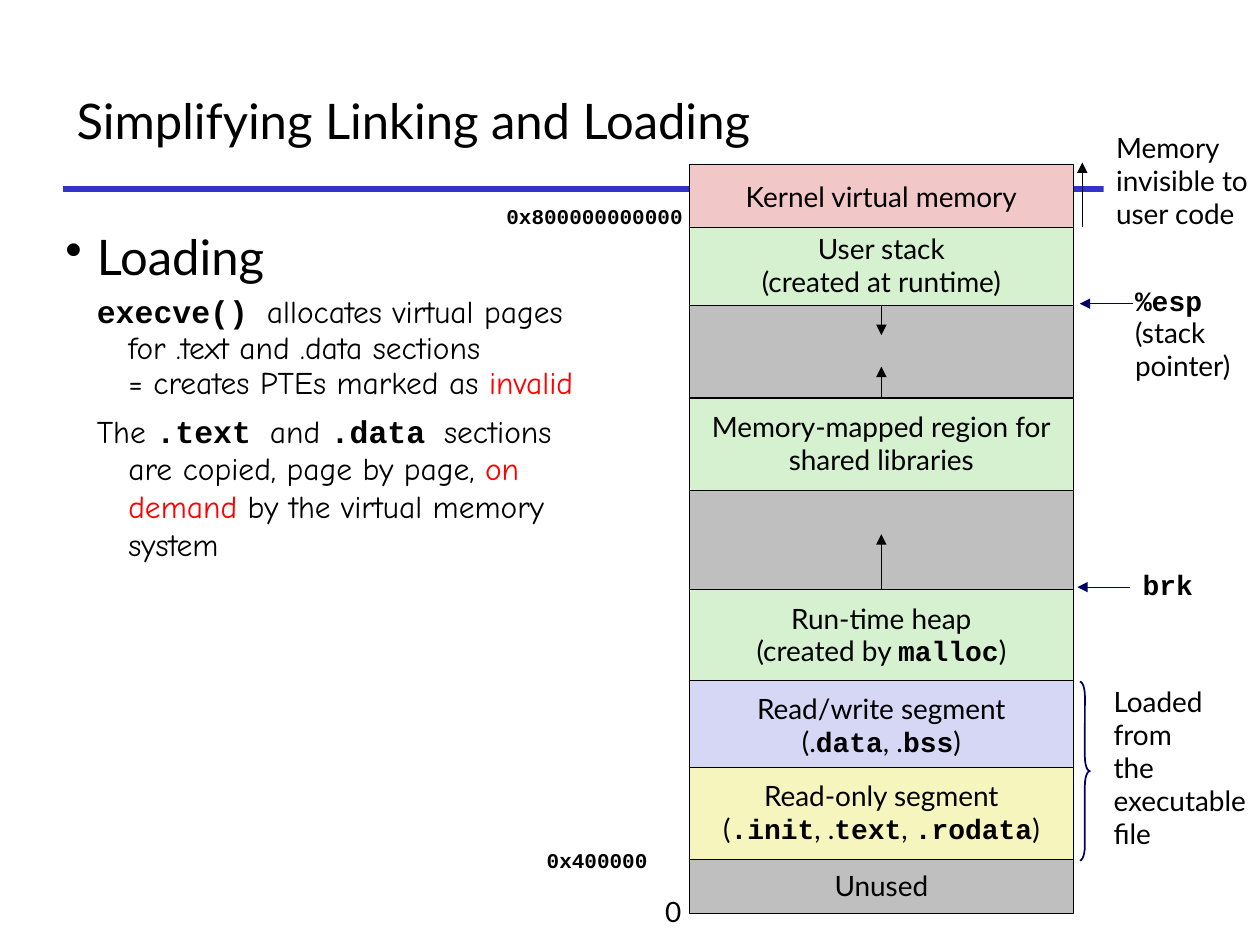
import pptx
import pptx.dml.color
import pptx.enum.shapes
import pptx.enum.text
import pptx.oxml
import pptx.oxml.ns
import pptx.util

COLORS = {
    "ink": "000000", "alert": "FF0000", "rule": "3333CC", "pointer": "000066",
    "paper": "FFFFFF", "kernel": "F1C7C7", "dynamic": "D5F1CF",
    "gap": "BFBFBF", "data": "D6D6F5", "code": "F6F5BD",
}
FONTS = {
    "sans": {"name": "Lato", "bold": False},
    "code": {"name": "Courier New", "bold": True},
    "hand": {"name": "Comic Neue", "bold": False},
    "alert": {"name": "Comic Neue", "bold": False},
}
ANCHOR = pptx.enum.text.MSO_ANCHOR
ALIGN = pptx.enum.text.PP_ALIGN
SHAPE = pptx.enum.shapes.MSO_SHAPE
TOP, LEFT, BOTTOM = 0, 1, 2


def rgb(color):
    return pptx.dml.color.RGBColor.from_string(COLORS[color])


def assign(target, values):
    for attribute, value in values.items():
        setattr(target, attribute, value)


def element(tag, attributes=""):
    return pptx.oxml.parse_xml(f"<a:{tag} {pptx.oxml.ns.nsdecls('a')} {attributes}/>")


class MemorySlide:
    """Draw on a slide divided into 100 columns and 75 rows."""

    def __init__(self, deck):
        self.cell_width = deck.slide_width / 100
        self.cell_height = deck.slide_height / 75
        self.slide = deck.slides.add_slide(deck.slide_layouts[6])

    def place(self, column, row):
        return round(column * self.cell_width), round(row * self.cell_height)

    def area(self, left, top, width, height):
        return self.place(left, top) + self.place(width, height)

    def add_runs(self, paragraph, runs, size, layout):
        assign(paragraph, layout)
        for text, font in runs:
            if text == "\n":
                paragraph.add_line_break()
                continue
            run = paragraph.add_run()
            run.text = text
            assign(run.font, {**FONTS[font], "size": pptx.util.Pt(size)})
            run.font.color.rgb = rgb("alert" if font == "alert" else "ink")

    def fill_text(self, frame, lines, size=16, **layout):
        for index, runs in enumerate(lines):
            paragraph = frame.paragraphs[0] if index == 0 else frame.add_paragraph()
            all_code = all(font == "code" for _, font in runs)
            spacing = 0.94 if all_code else 0.98
            self.add_runs(paragraph, runs, size, {"line_spacing": spacing, **layout})

    def title(self, area, text):
        frame = self.slide.shapes.add_textbox(*self.area(*area)).text_frame
        assign(frame, {"word_wrap": True, "vertical_anchor": ANCHOR.MIDDLE})
        self.fill_text(frame, [[(text, "sans")]], 28, line_spacing=1.0)

    def outline(self, area, heading, points):
        frame = self.slide.shapes.add_textbox(*self.area(*area)).text_frame
        frame.word_wrap = True
        hang = pptx.util.Inches(0.25)
        entries = [(heading, 28, 0, 1.0)] + [(runs, 18, 1, spacing) for runs, spacing in points]
        for runs, size, level, spacing in entries:
            paragraph = frame.add_paragraph() if level else frame.paragraphs[0]
            properties = paragraph._p.get_or_add_pPr()
            properties.set("marL", str(hang * (level + 1)))
            properties.set("indent", str(-hang))
            properties.append(element("buNone") if level else element("buChar", 'char="•"'))
            layout = {"level": level, "line_spacing": spacing}
            if level:
                layout["space_before"] = pptx.util.Pt(5.6)
            self.add_runs(paragraph, runs, size, layout)

    def region(self, top, height, color, lines):
        block = self.slide.shapes.add_shape(SHAPE.RECTANGLE, *self.area(54.7, top, 30.5, height))
        block.shadow.inherit = False
        block.fill.solid()
        block.fill.fore_color.rgb = rgb(color)
        block.line.color.rgb = rgb("ink")
        block.line.width = pptx.util.Pt(0.25)
        assign(block.text_frame, {"word_wrap": False, "vertical_anchor": ANCHOR.MIDDLE})
        self.fill_text(block.text_frame, lines, alignment=ALIGN.CENTER)
        return block

    def label(self, area, lines, font="sans", size=16, color=None):
        note = self.slide.shapes.add_textbox(*self.area(*area))
        if color:
            note.fill.solid()
            note.fill.fore_color.rgb = rgb(color)
        assign(note.text_frame, {
            "word_wrap": False,
            "auto_size": pptx.enum.text.MSO_AUTO_SIZE.SHAPE_TO_FIT_TEXT,
        })
        runs = [[line if isinstance(line, tuple) else (line, font)] for line in lines]
        self.fill_text(note.text_frame, runs, size)
        return note

    def line(self, start, end, color="ink", width=0.25, arrow=True, joined=None):
        link = self.slide.shapes.add_connector(
            pptx.enum.shapes.MSO_CONNECTOR.STRAIGHT, *self.place(*start), *self.place(*end))
        if joined:
            link.begin_connect(*joined)
        link.line.color.rgb = rgb(color)
        link.line.width = pptx.util.Pt(width)
        properties = link.element.spPr
        if arrow:
            properties.find(pptx.oxml.ns.qn("a:ln")).append(element("tailEnd", 'type="triangle"'))
        properties.append(element("effectLst"))

    def brace(self, area):
        bracket = self.slide.shapes.add_shape(SHAPE.RIGHT_BRACE, *self.area(*area))
        bracket.shadow.inherit = False
        bracket.fill.background()
        bracket.line.color.rgb = rgb("pointer")
        bracket.line.width = pptx.util.Pt(1)
        bracket.adjustments[0] = 1.42


def main():
    deck = pptx.Presentation()
    assign(deck, {"slide_width": pptx.util.Inches(10), "slide_height": pptx.util.Inches(7.5)})
    memory = MemorySlide(deck)

    memory.line((5, 15), (93.3, 15), "rule", 3, arrow=False)
    memory.title((5.1, 4.2, 90.6, 10.7), "Simplifying Linking and Loading")
    memory.outline((4.2, 17.5, 42.5, 52.3), [("Loading", "sans")], [
        ([("execve() ", "code"),
          ("allocates virtual pages for .text and .data sections ", "hand"), ("\n", "hand"),
          ("= creates PTEs marked as ", "hand"), ("invalid", "alert")], 0.94),
        ([("The ", "hand"), (".text ", "code"), ("and ", "hand"), (".data ", "code"),
          ("sections are copied, page by page, ", "hand"), ("on demand", "alert"),
          (" by the virtual memory system", "hand")], 1.0),
    ])

    memory.region(13, 5.3, "kernel", [[("Kernel virtual memory", "sans")]])
    memory.region(21.6, 9.9, "gap", [])
    stack = memory.region(18, 6.2, "dynamic", [
        [("User stack", "sans")], [("(created at runtime)", "sans")]])
    libraries = memory.region(31.6, 7.3, "dynamic", [
        [("Memory-mapped region for", "sans")], [("shared libraries", "sans")]])
    memory.region(38.9, 7.9, "gap", [])
    heap = memory.region(46.8, 7.3, "dynamic", [
        [("Run-time heap", "sans")],
        [("(created by ", "sans"), ("malloc", "code"), (")", "sans")]])
    memory.region(68.2, 4.3, "gap", [[("Unused", "sans")]])
    memory.region(54, 7.3, "data", [
        [("Read/write segment", "sans")],
        [("(.", "sans"), ("data", "code"), (", .", "sans"), ("bss", "code"), (")", "sans")]])
    memory.region(60.9, 7.3, "code", [
        [("Read-only segment", "sans")],
        [("(", "sans"), (".init", "code"), (", .", "sans"), ("text", "code"),
         (", ", "sans"), (".rodata", "code"), (")", "sans")]])

    for block, side, start, end in (
            (stack, BOTTOM, 24.2, 26.6), (libraries, TOP, 31.6, 29.1), (heap, TOP, 46.8, 42.4)):
        memory.line((69.95, start), (69.95, end), joined=(block, side))

    memory.label((51.8, 70.6, 3.1, 3.7), ["0"])
    memory.label((39.2, 15.8, 16.2, 3), ["0x800000000000"], "code", 12)
    memory.label((42.4, 66.9, 10.1, 3), ["0x400000"], "code", 12)
    memory.label((87.6, 10, 12.7, 8.9), ["Memory", "invisible to", "user code"], color="paper")
    memory.line((85.9, 18), (85.9, 12.9))
    memory.label((89.1, 22.2, 9.8, 8.8), [("%esp", "code"), "(stack", "pointer)"])
    memory.line((89.9, 24.1), (85.7, 24.1), "pointer")
    program_break = memory.label((89.7, 44.8, 6, 3.6), ["brk"], "code")
    memory.line((89.7, 46.6), (85.5, 46.6), "pointer", joined=(program_break, LEFT))
    memory.brace((85.7, 54.1, 0.8, 14.2))
    memory.label((87.4, 54, 13, 14.2), ["Loaded", "from", "the", "executable", "file"])

    deck.save("out.pptx")


if __name__ == "__main__":
    main()
